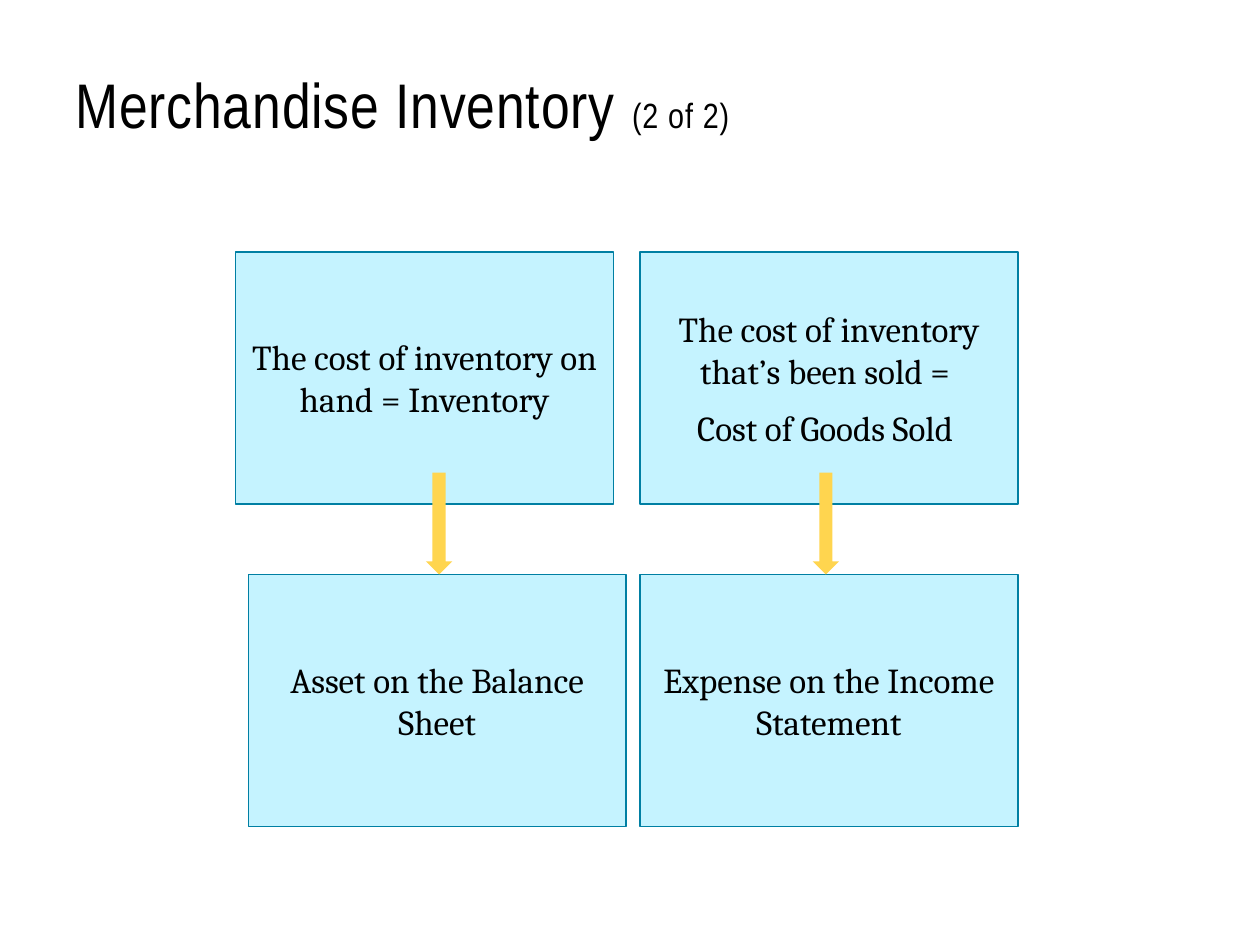
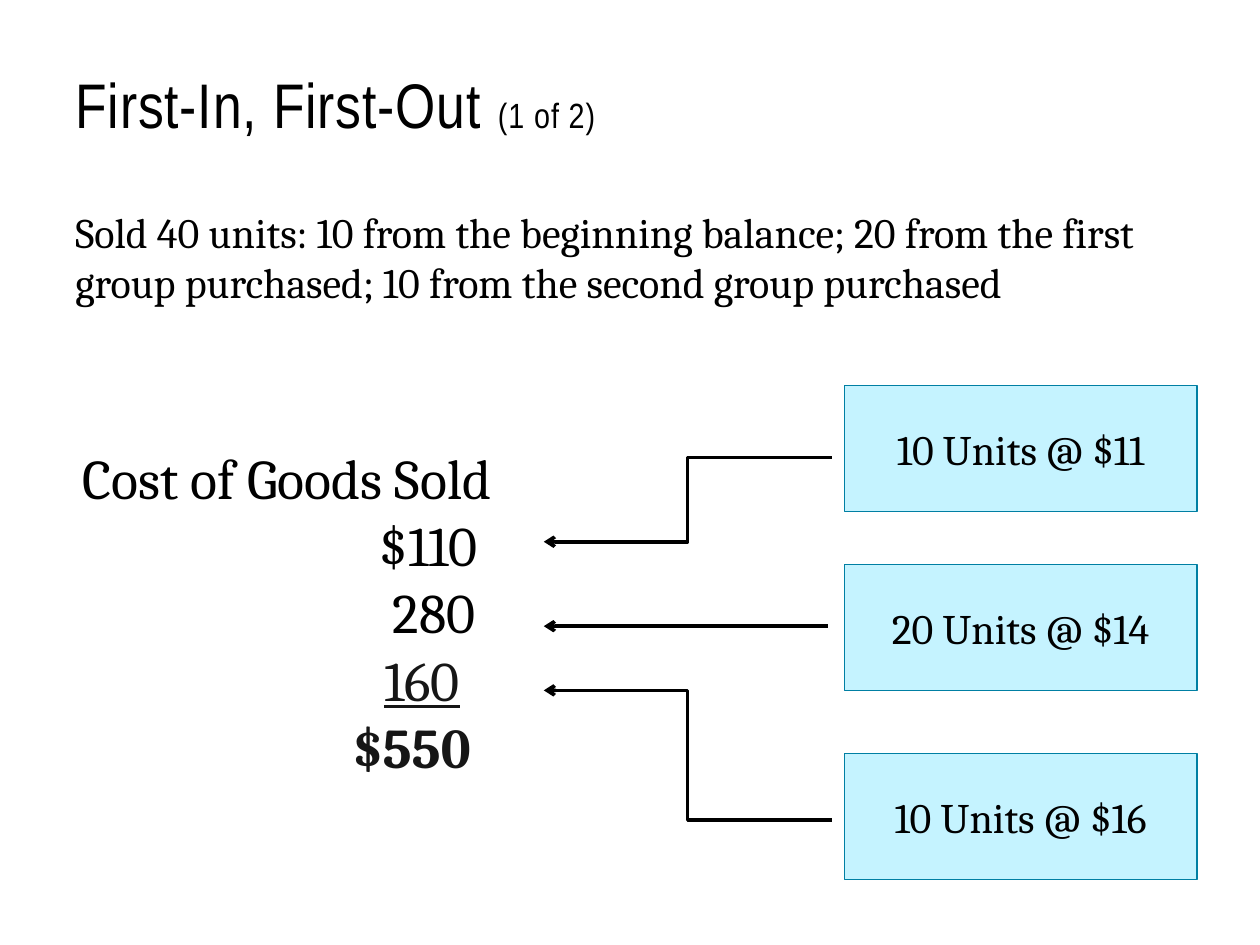
from lxml import etree
from pptx import Presentation
from pptx.dml.color import RGBColor
from pptx.enum.shapes import MSO_CONNECTOR as LINK, MSO_SHAPE as FORM
from pptx.enum.text import MSO_ANCHOR as ANCHOR, PP_ALIGN as ALIGN
from pptx.oxml.ns import qn
from pptx.util import Pt

# Shared style
BLACK, INK = "000000", "161616"
SKY, TEAL, GOLD = "C5F3FF", "007FA3", "FFD54F"
HEAD, BODY = "Arial Narrow", "Cambria"


def color(code):
    return RGBColor.from_string(code)


def write(para, text, size=24, face=BODY, ink=BLACK, bold=False,
          under=False, track=0):
    """Add one run of formatted text to a paragraph."""
    run = para.add_run()
    run.text = text
    font = run.font
    font.size, font.name, font.bold = Pt(size), face, bold
    font.underline = under
    font.color.rgb = color(ink)
    if track:
        run._r.get_or_add_rPr().set("spc", str(round(track * 100)))


class Deck:
    """Holds the presentation and the slide being drawn."""

    def __init__(self):
        self.pres = Presentation()
        self.pres.slide_width, self.pres.slide_height = Pt(720), Pt(540)
        self.slide = None

    def page(self, title, part):
        self.slide = self.pres.slides.add_slide(self.pres.slide_layouts[6])
        frame = self.frame(36, 17.28, 648, 86.4)
        frame.margin_top = Pt(7.2)
        frame.vertical_anchor = ANCHOR.MIDDLE
        para = frame.paragraphs[0]
        para.line_spacing = 0.85
        write(para, title + " ", size=36, face=HEAD, track=0.5)
        write(para, part, size=20, face=HEAD, track=0.5)

    def frame(self, x, y, w, h):
        box = self.slide.shapes.add_textbox(Pt(x), Pt(y), Pt(w), Pt(h))
        box.text_frame.word_wrap = True
        return box.text_frame

    def shape(self, form, x, y, w, h, fill, edge=None):
        item = self.slide.shapes.add_shape(form, Pt(x), Pt(y), Pt(w), Pt(h))
        item.shadow.inherit = False
        item.fill.solid()
        item.fill.fore_color.rgb = color(fill)
        if edge:
            item.line.color.rgb = color(edge)
            item.line.width = Pt(0.75)
        else:
            item.line.fill.background()
        return item

    def card(self, x, y, w, h, *lines, size=24):
        frame = self.shape(FORM.RECTANGLE, x, y, w, h, SKY, TEAL).text_frame
        frame.word_wrap = True
        frame.vertical_anchor = ANCHOR.MIDDLE
        frame.margin_top = frame.margin_bottom = Pt(7.2)
        for i, line in enumerate(lines):
            para = frame.add_paragraph() if i else frame.paragraphs[0]
            para.alignment = ALIGN.CENTER
            para.space_after = Pt(8)
            write(para, line, size=size)

    def arrow(self, kind, x1, y1, x2, y2):
        link = self.slide.shapes.add_connector(
            kind, Pt(x1), Pt(y1), Pt(x2), Pt(y2))
        link.line.color.rgb = color(BLACK)
        link.line.width = Pt(2)
        tip = etree.SubElement(link.line._get_or_add_ln(), qn("a:tailEnd"))
        tip.set("type", "arrow")
        etree.SubElement(link._element.spPr, qn("a:effectLst"))

    def sums(self, x, y, w, h, title, rows):
        """Centred heading over amounts, each shifted by its indent."""
        frame = self.frame(x, y, w, h)
        para = frame.paragraphs[0]
        para.alignment = ALIGN.CENTER
        write(para, title, size=32)
        for text, indent, style in rows:
            para = frame.add_paragraph()
            para.alignment = ALIGN.CENTER
            para._p.get_or_add_pPr().set("marL", str(Pt(indent)))
            write(para, text, size=32, **style)


def main():
    deck = Deck()

    # Inventory: each cost leads down to its statement
    deck.page("Merchandise Inventory", "(2 of 2)")
    for x, y, lines in (
        (134.64, 144, ["The cost of inventory on hand = Inventory"]),
        (141.84, 328.32, ["Asset on the Balance Sheet"]),
        (365.76, 144, ["The cost of inventory that’s been sold = ",
                       "Cost of Goods Sold "]),
        (365.76, 328.32, ["Expense on the Income Statement"]),
    ):
        deck.card(x, y, 216, 144, *lines, size=20)
    for x in (243.36, 464.4):
        deck.shape(FORM.DOWN_ARROW, x, 270, 15.12, 58.32, GOLD)

    # First-in, first-out: layers feed the cost of goods sold
    deck.page("First-In, First-Out", "(1 of 2)")
    intro = deck.frame(36, 114.48, 648, 97.2)
    write(intro.paragraphs[0],
          "Sold 40 units: 10 from the beginning balance; 20 from the first "
          "group purchased; 10 from the second group purchased")
    deck.sums(18, 249.84, 292.32, 225.36, "Cost of Goods Sold", (
        ("$110", 162, {}),
        ("280", 168, {}),
        ("160", 154, {"ink": INK, "under": True}),
        ("$550", 142, {"ink": INK, "bold": True}),
    ))

    # Unit layers with their arrows
    for top, price, kind, start, y1, y2 in (
        (220.32, "10 Units @ $11", LINK.ELBOW, 475.2, 261.36, 309.6),
        (322.56, "20 Units @ $14", LINK.STRAIGHT, 473.04, 357.84, 357.84),
        (430.56, "10 Units @ $16", LINK.ELBOW, 475.2, 468.72, 394.56),
    ):
        deck.arrow(kind, start, y1, 310.75, y2)
        deck.card(482.4, top, 201.6, 72, price)

    deck.pres.save("out.pptx")


if __name__ == "__main__":
    main()
